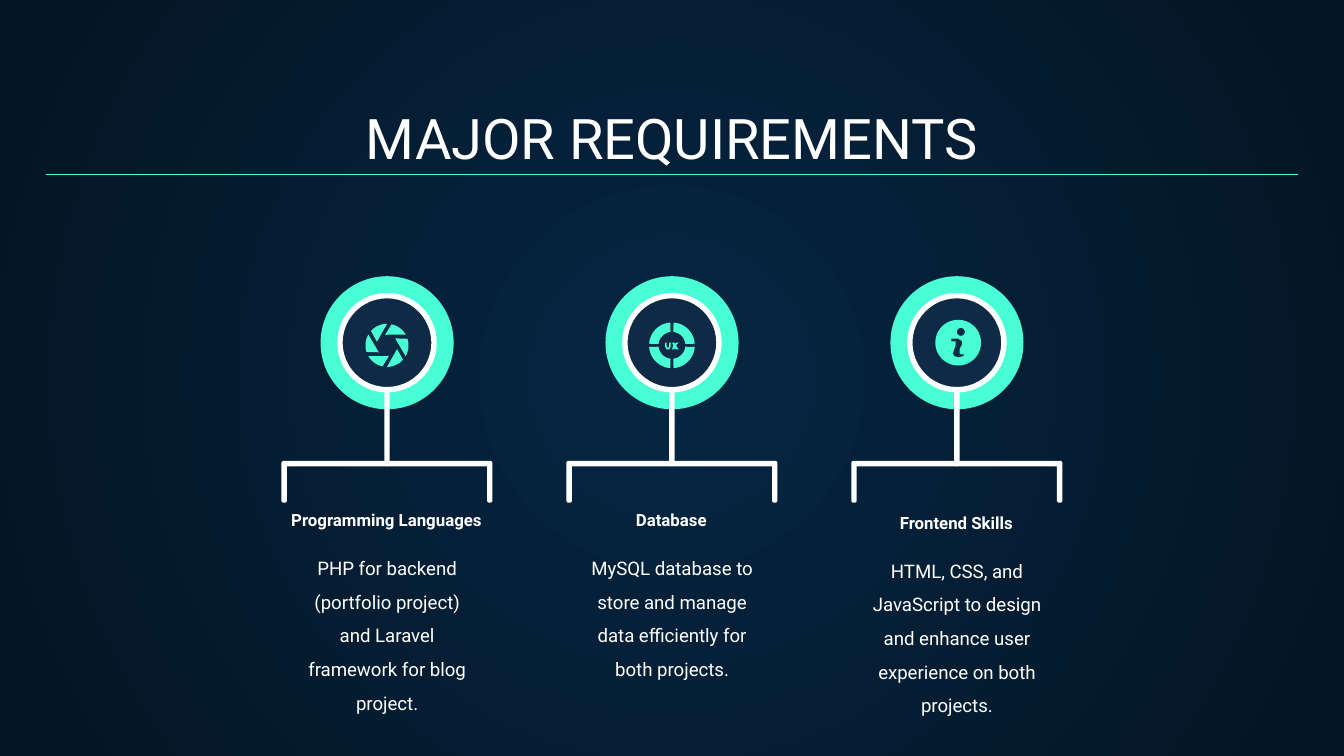
"""Build the "Major requirements" slide: three icon badges above bracketed captions."""
from math import cos, radians, sin

from lxml import etree
from pptx import Presentation, util as u
from pptx.dml.color import RGBColor
from pptx.enum import shapes as kinds, text as txt
from pptx.oxml.ns import qn

TITLE = "MAJOR REQUIREMENTS"
REQUIREMENTS = [
    ("Programming Languages", "PHP for backend (portfolio project) and Laravel framework for blog project.", 0),
    ("Database", "MySQL database to store and manage data efficiently for both projects.", 0),
    ("Frontend Skills", "HTML, CSS, and JavaScript to design and enhance user experience on both projects.", 0.02),
]

WHITE = RGBColor(0xFF, 0xFF, 0xFF)
MINT = RGBColor(0x48, 0xFF, 0xD5)
NAVY = RGBColor(0x0E, 0x2A, 0x47)
GLOW = RGBColor(0x05, 0x26, 0x43)
DUSK = RGBColor(0x04, 0x15, 0x23)
FONT = "Roboto"

WIDTH = 10
HEIGHT = WIDTH * 9 / 16
MARGIN = 0.34
PITCH = 2.12
BADGE_Y = 2.55
STROKE = 0.04
BRACKET_TOP, BRACKET_BOTTOM, BRACKET_WIDTH = 3.43, 3.74, 1.57

LETTER_U = [(-0.05, -0.02), (-0.05, 0.01), (-0.04, 0.03), (-0.03, 0.03), (-0.02, 0.03), (-0.01, 0.01),
            (-0.01, -0.02), (-0.02, -0.02), (-0.02, 0.01), (-0.03, 0.02), (-0.04, 0.01), (-0.04, -0.02)]
LETTER_X = [(0, -0.02), (0.01, 0), (0, 0.03), (0.02, 0.03), (0.02, 0.02), (0.03, 0.03),
            (0.05, 0.03), (0.03, 0), (0.05, -0.02), (0.03, -0.02), (0.02, -0.01), (0.02, -0.02)]
LETTER_I = [(-0.05, -0.03), (0, -0.03), (0.03, -0.01), (0.03, 0.01), (0.01, 0.05), (0.01, 0.08),
            (0.03, 0.09), (0.04, 0.08), (0.04, 0.1), (0, 0.11), (-0.03, 0.1), (-0.04, 0.08),
            (-0.02, 0.02), (-0.02, -0.01), (-0.05, -0.01)]


def add_text(slide, words, box, size, bold=False, anchor=txt.MSO_ANCHOR.TOP, spacing=1.0):
    frame = slide.shapes.add_textbox(*map(u.Inches, box)).text_frame
    frame.word_wrap = True
    frame.vertical_anchor = anchor
    frame.margin_left = frame.margin_right = frame.margin_top = frame.margin_bottom = u.Inches(0.1)
    line = frame.paragraphs[0]
    line.alignment = txt.PP_ALIGN.CENTER
    line.line_spacing = spacing
    run = line.add_run()
    run.text = words
    run.font.name, run.font.size, run.font.bold = FONT, u.Pt(size), bold
    run.font.color.rgb = WHITE


def paint(shape, color):
    shape.shadow.inherit = False
    shape.fill.solid()
    shape.fill.fore_color.rgb = color
    shape.line.fill.background()
    return shape


def add_preset(slide, kind, x, y, width, height, color):
    corner = (x - width / 2, y - height / 2)
    return paint(slide.shapes.add_shape(kind, *map(u.Inches, (*corner, width, height))), color)


def add_outline(shapes, x, y, contours, color):
    placed = [[(u.Inches(x + dx), u.Inches(y + dy)) for dx, dy in contour] for contour in contours]
    builder = shapes.build_freeform(*placed[0][0])
    for number, contour in enumerate(placed):
        if number:
            builder.move_to(*contour[0])
        builder.add_line_segments(contour[1:], close=True)
    return paint(builder.convert_to_shape(), color)


def arc(radius, start, end, steps=12, dx=0, dy=0):
    angles = [radians(start + (end - start) * step / steps) for step in range(steps + 1)]
    return [(dx + radius * cos(angle), dy + radius * sin(angle)) for angle in angles]


def add_aperture(slide, x):
    blades = slide.shapes.add_group_shape().shapes
    for turn in range(0, 360, 60):
        blade = arc(0.08, turn - 40, turn - 40, 1)[:1] + arc(0.16, turn - 18, turn + 30)
        add_outline(blades, x, 2.57, [blade], MINT)


def add_ux_ring(slide, x):
    parts = slide.shapes.add_group_shape().shapes
    for turn in range(0, 360, 90):
        quarter = arc(0.17, turn + 4, turn + 86) + arc(0.1, turn + 84, turn + 6)
        add_outline(parts, x, 2.57, [quarter], MINT)
    for letter in (LETTER_U, LETTER_X):
        add_outline(parts, x, 2.57, [letter], MINT)


def add_info(slide, x):
    disc, dot = arc(0.17, 0, 360, 60), arc(0.03, 360, 0, 16, dx=0.02, dy=-0.08)
    add_outline(slide.shapes, x + 0.01, BADGE_Y, [disc, dot, LETTER_I], MINT)


def add_badge(slide, x):
    oval = kinds.MSO_SHAPE.OVAL
    half, drop = BRACKET_WIDTH / 2, BRACKET_BOTTOM - BRACKET_TOP
    inner, bevel = half - STROKE, 0.01
    bracket = [(bevel - half, 0), (half - bevel, 0), (half, bevel), (half, drop - bevel),
               (half - bevel, drop), (inner + bevel, drop), (inner, drop - bevel), (inner, STROKE),
               (-inner, STROKE), (-inner, drop - bevel), (-inner - bevel, drop),
               (bevel - half, drop), (-half, drop - bevel), (-half, bevel)]
    add_outline(slide.shapes, x, BRACKET_TOP, [bracket], WHITE)
    add_preset(slide, oval, x, BADGE_Y, 0.99, 0.99, MINT)
    stem = add_preset(slide, kinds.MSO_SHAPE.ROUNDED_RECTANGLE, x, 2.97, STROKE, 1, WHITE)
    stem.adjustments[0] = 0.5
    add_preset(slide, oval, x, BADGE_Y, 0.7, 0.7, NAVY)
    ring = add_preset(slide, kinds.MSO_SHAPE.DONUT, x, BADGE_Y, 0.74, 0.74, WHITE)
    ring.adjustments[0] = STROKE / 0.74


def add_background(slide):
    fill = slide.background.fill
    fill.gradient()
    for stop, color, position in zip(fill.gradient_stops, (GLOW, DUSK), (0, 1)):
        stop.color.rgb, stop.position = color, position
    linear = slide.element.find(".//" + qn("a:lin"))
    radial = etree.Element(qn("a:path"), path="circle")
    etree.SubElement(radial, qn("a:fillToRect"), l="50000", t="50000", r="50000", b="50000")
    linear.getparent().replace(linear, radial)


def add_rule(slide, y):
    ends = map(u.Inches, (MARGIN, y, WIDTH - MARGIN, y))
    rule = slide.shapes.add_connector(kinds.MSO_CONNECTOR.STRAIGHT, *ends)
    rule.line.color.rgb, rule.line.width = MINT, u.Pt(0.75)
    etree.SubElement(rule.element.spPr, qn("a:effectLst"))


def main():
    deck = Presentation()
    deck.slide_width, deck.slide_height = u.Inches(WIDTH), u.Inches(HEIGHT)
    slide = deck.slides.add_slide(deck.slide_layouts[6])
    add_background(slide)
    bottom = txt.MSO_ANCHOR.BOTTOM
    add_text(slide, TITLE, (MARGIN, 0.71, WIDTH - 2 * MARGIN, 0.66), 30, anchor=bottom)
    icons = (add_aperture, add_ux_ring, add_info)
    for column, ((heading, detail, shift), add_icon) in enumerate(zip(REQUIREMENTS, icons)):
        x = WIDTH / 2 + (column - 1) * PITCH
        add_text(slide, detail, (x - 0.76, 3.96 + shift, 1.52, 0.55), 10, spacing=1.5)
        add_text(slide, heading, (x - 1.14, 3.81 + shift, 2.27, 0.21), 9, bold=True, anchor=bottom)
        add_badge(slide, x)
        add_icon(slide, x)
    add_rule(slide, 1.3)
    deck.save("out.pptx")


if __name__ == "__main__":
    main()
